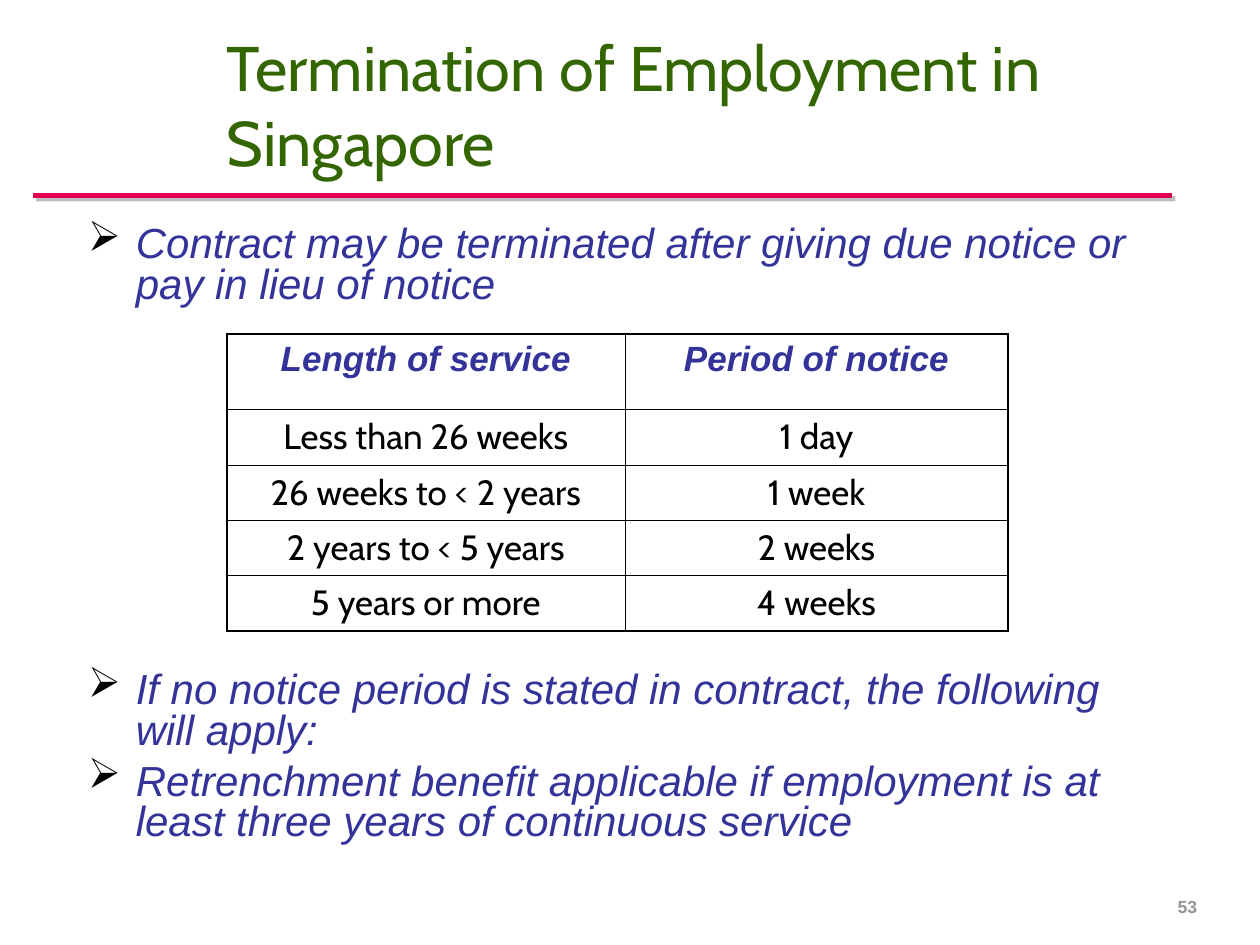
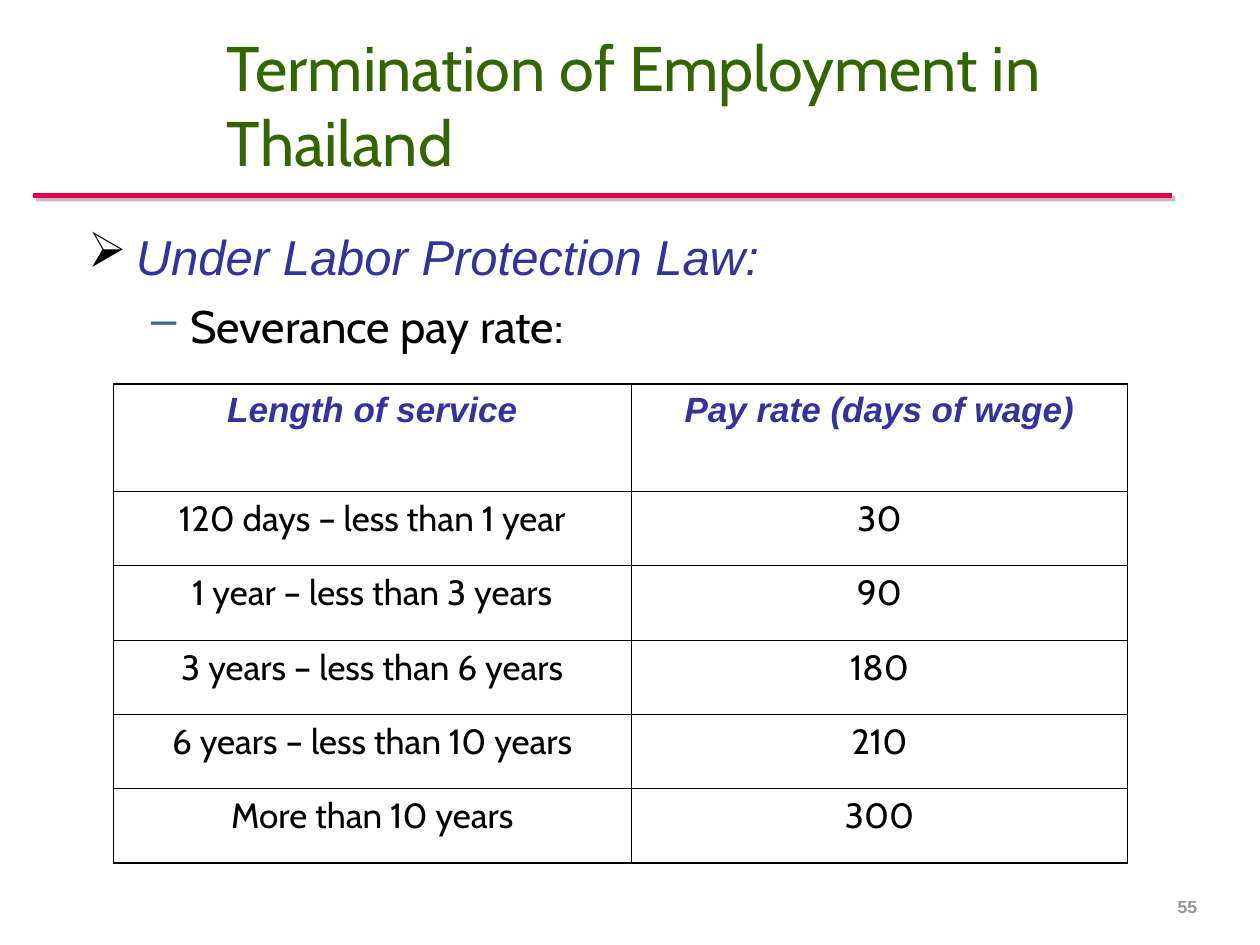
from lxml.etree import SubElement
from pptx import Presentation
from pptx.dml.color import RGBColor
from pptx.enum.shapes import MSO_CONNECTOR
from pptx.enum.text import MSO_ANCHOR, MSO_AUTO_SIZE, PP_ALIGN
from pptx.oxml import parse_xml
from pptx.oxml.ns import nsdecls, qn
from pptx.util import Inches, Pt

HEADING_FONT, BODY_FONT = "Cabin", "Arial"
GREEN, NAVY, BLACK = "336600", "333399", "000000"
CRIMSON, STEEL, GREY = "E20051", "336699", "969696"
OUTER_LINE, INNER_LINE = 1.08, 0.45

# Per bullet level: character, its colour, left margin, hanging indent
BULLETS = [("➢", BLACK, 0.38, 0.38), ("–", STEEL, 0.81, 0.31)]


def rgb(hex_colour):
    return RGBColor.from_string(hex_colour)


def set_font(paragraph, name, size, colour, bold=False, italic=False):
    font = paragraph.font
    font.name, font.size = name, Pt(size)
    font.bold, font.italic = bold, italic
    font.color.rgb = rgb(colour)


def set_insets(frame, left, right):
    frame.margin_left, frame.margin_right = Inches(left), Inches(right)
    frame.margin_top = frame.margin_bottom = Inches(0.05)
    frame.word_wrap = True


def add_text_box(slide, box):
    return slide.shapes.add_textbox(*map(Inches, box)).text_frame


def add_title(slide, text):
    title = slide.shapes.title
    title.left, title.top, title.width, title.height = map(Inches, (1.6, 0.45, 7.65, 0.75))
    frame = title.text_frame
    set_insets(frame, 0.2, 0.1)
    frame.auto_size = MSO_AUTO_SIZE.NONE
    frame.vertical_anchor = MSO_ANCHOR.MIDDLE
    frame.text = text
    paragraph = frame.paragraphs[0]
    paragraph.alignment = PP_ALIGN.LEFT
    set_font(paragraph, HEADING_FONT, 36, GREEN)


def add_title_rule(slide):
    rule = slide.shapes.add_connector(
        MSO_CONNECTOR.STRAIGHT, Inches(0.26), Inches(1.55), Inches(9.3), Inches(1.55))
    rule.line.color.rgb = rgb(CRIMSON)
    rule.line.width = Pt(3)
    properties = rule.element.find(qn("p:spPr"))
    properties.append(parse_xml(
        f'<a:effectLst {nsdecls("a")}><a:outerShdw dist="{Pt(2.8)}" dir="2700000">'
        '<a:srgbClr val="808080"><a:alpha val="50000"/></a:srgbClr>'
        '</a:outerShdw></a:effectLst>'))


def add_page_number(slide, number):
    frame = add_text_box(slide, (8.83, 7.06, 0.67, 0.27))
    set_insets(frame, 0, 0)
    frame.vertical_anchor = MSO_ANCHOR.BOTTOM
    frame.text = str(number)
    frame.paragraphs[0].alignment = PP_ALIGN.RIGHT
    set_font(frame.paragraphs[0], BODY_FONT, 10, GREY, bold=True)


def add_bullet(paragraph, level):
    character, colour, margin, hanging = BULLETS[level]
    properties = paragraph._p.get_or_add_pPr()
    properties.set("marL", str(Inches(margin)))
    properties.set("indent", str(-Inches(hanging)))
    bullet_colour = SubElement(properties, qn("a:buClr"))
    SubElement(bullet_colour, qn("a:srgbClr"), val=colour)
    SubElement(properties, qn("a:buChar"), char=character)


def add_bullets(slide, box, items, size, line_spacing=1.0):
    """Items are (level, text); level 1 is plain black and 2 pt smaller."""
    frame = add_text_box(slide, box)
    set_insets(frame, 0.1, 0.1)
    for index, (level, text) in enumerate(items):
        paragraph = frame.add_paragraph() if index else frame.paragraphs[0]
        paragraph.text = text
        add_bullet(paragraph, level)
        paragraph.line_spacing = line_spacing
        if index:
            paragraph.space_before = Pt(size / 4)
        if level:
            set_font(paragraph, HEADING_FONT, size - 2, BLACK)
        else:
            set_font(paragraph, BODY_FONT, size, NAVY, italic=True)


def set_borders(cell, outer_edges):
    """Draw all four borders, heavier on the sides that bound the table."""
    properties = cell._tc.get_or_add_tcPr()
    for side in "LRTB":
        width = Pt(OUTER_LINE if side in outer_edges else INNER_LINE)
        properties.append(parse_xml(
            f'<a:ln{side} {nsdecls("a")} w="{width}"><a:solidFill>'
            f'<a:srgbClr val="{BLACK}"/></a:solidFill></a:ln{side}>'))


def add_notice_table(slide, box, rows, column_widths, header_height):
    left, top, width, height = box
    row_count, column_count = len(rows), len(column_widths)
    table = slide.shapes.add_table(row_count, column_count, *map(Inches, box)).table
    table.first_row = table.horz_banding = False
    for column, column_width in zip(table.columns, column_widths):
        column.width = Inches(column_width)
    for index, row in enumerate(table.rows):
        body_height = (height - header_height) / (row_count - 1)
        row.height = Inches(body_height if index else header_height)

    for r, values in enumerate(rows):
        for c, value in enumerate(values):
            cell = table.cell(r, c)
            cell.text = value
            edges = {"L": c == 0, "R": c == column_count - 1,
                     "T": r == 0, "B": r == row_count - 1}
            set_borders(cell, {side for side, is_outer in edges.items() if is_outer})
            cell.fill.background()
            paragraph = cell.text_frame.paragraphs[0]
            paragraph.alignment = PP_ALIGN.CENTER
            if r == 0:
                set_font(paragraph, BODY_FONT, 20, NAVY, bold=True, italic=True)
            else:
                set_font(paragraph, HEADING_FONT, 20, BLACK)


def add_country_slide(presentation, country, number):
    slide = presentation.slides.add_slide(presentation.slide_layouts[5])
    add_title_rule(slide)
    add_title(slide, f"Termination of Employment in {country}")
    add_page_number(slide, number)
    return slide


def build_singapore(presentation):
    slide = add_country_slide(presentation, "Singapore", 53)
    add_bullets(slide, (0.6, 1.75, 8.7, 0.8), [
        (0, "Contract may be terminated after giving due notice or pay in lieu of notice"),
    ], 24, 0.8)
    add_notice_table(slide, (1.8, 2.65, 6.2, 2.36), [
        ("Length of service", "Period of notice"),
        ("Less than 26 weeks", "1 day"),
        ("26 weeks to < 2 years", "1 week"),
        ("2 years to < 5 years", "2 weeks"),
        ("5 years or more", "4 weeks"),
    ], (3.16, 3.04), 0.6)
    add_bullets(slide, (0.6, 5.29, 8.7, 1.63), [
        (0, "If no notice period is stated in contract, the following will apply:"),
        (0, "Retrenchment benefit applicable if employment is at least three years "
            "of continuous service"),
    ], 24, 0.8)


def build_thailand(presentation):
    slide = add_country_slide(presentation, "Thailand", 55)
    add_bullets(slide, (0.6, 1.75, 8.55, 1.2), [
        (0, "Under Labor Protection Law:"),
        (1, "Severance pay rate:"),
    ], 28)
    add_notice_table(slide, (0.9, 3.05, 8.05, 3.8), [
        ("Length of service", "Pay rate (days of wage)"),
        ("120 days – less than 1 year", "30"),
        ("1 year – less than 3 years", "90"),
        ("3 years – less than 6 years", "180"),
        ("6 years – less than 10 years", "210"),
        ("More than 10 years", "300"),
    ], (4.11, 3.94), 0.85)


def main():
    presentation = Presentation()
    presentation.slide_width, presentation.slide_height = Inches(10), Inches(7.5)
    build_singapore(presentation)
    build_thailand(presentation)
    presentation.save("out.pptx")


if __name__ == "__main__":
    main()
